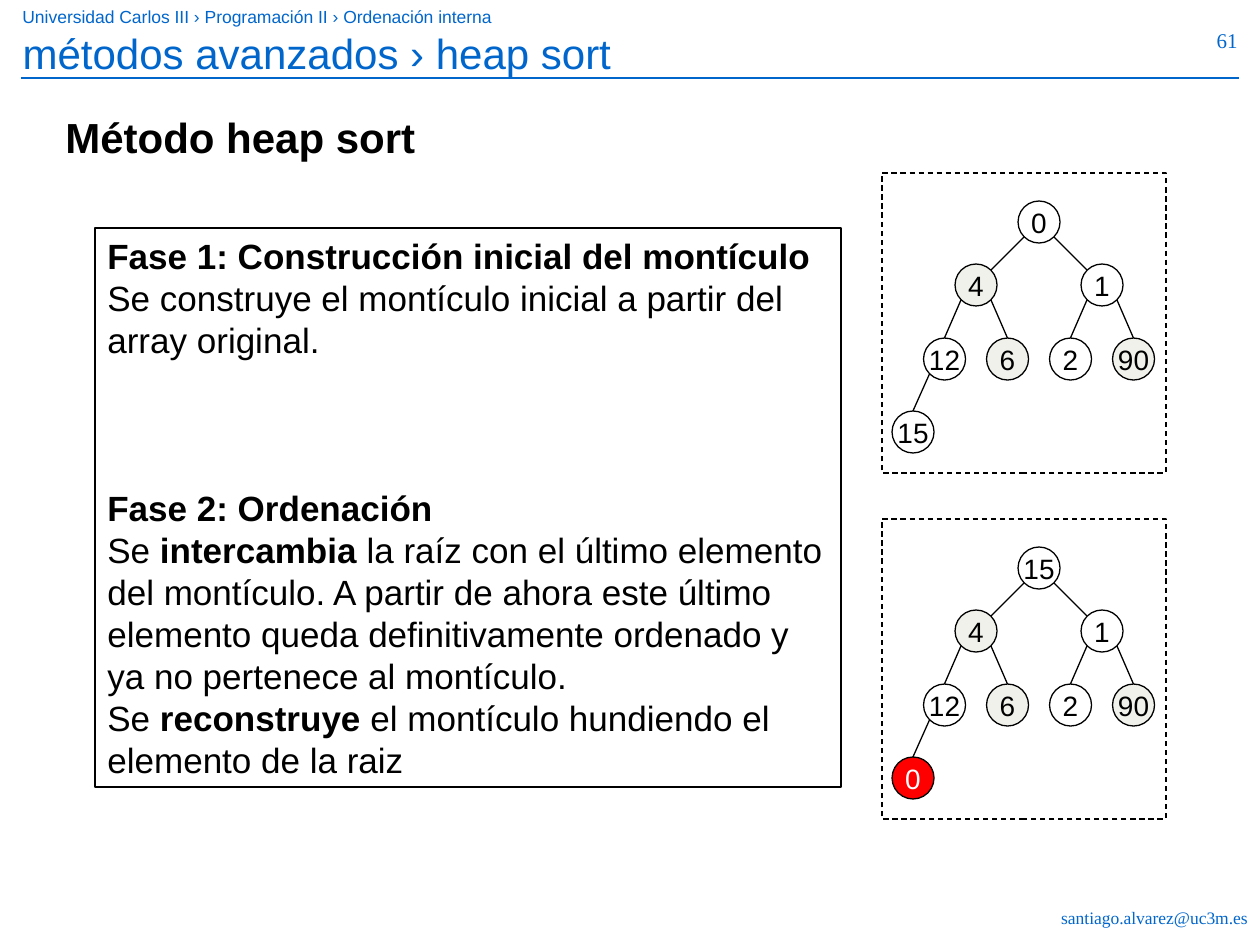
from lxml import etree
from pptx import Presentation
from pptx.dml.color import RGBColor
from pptx.enum.dml import MSO_LINE
from pptx.enum.shapes import MSO_CONNECTOR, MSO_SHAPE
from pptx.enum.text import MSO_ANCHOR, PP_ALIGN
from pptx.oxml.ns import qn
from pptx.util import Emu, Pt

RECTANGLE, CIRCLE = MSO_SHAPE.RECTANGLE, MSO_SHAPE.OVAL
STRAIGHT, DASH = MSO_CONNECTOR.STRAIGHT, MSO_LINE.DASH
TOP, MIDDLE = MSO_ANCHOR.TOP, MSO_ANCHOR.MIDDLE
LEFT, CENTER, RIGHT = PP_ALIGN.LEFT, PP_ALIGN.CENTER, PP_ALIGN.RIGHT

BLUE = RGBColor(0x00, 0x66, 0xCC)
BLACK = RGBColor(0x00, 0x00, 0x00)
WHITE = RGBColor(0xFF, 0xFF, 0xFF)
GREY = RGBColor(0xF1, 0xF1, 0xEB)
RED = RGBColor(0xFF, 0x00, 0x00)
SANS, SERIF = "Arial", "Times New Roman"

PX_PER_INCH = 126
LINE_PITCH = 1.2
PHASE_SIZE = 20

# Tree geometry, relative to its dashed frame; columns follow in-order position
NODE = 42
COLUMN = 31.5
TREE_LEFT = 10
LEVEL_TOPS = [28, 91, 165, 238]
HEAP_COLUMNS = [4, 2, 6, 1, 3, 5, 7, 0]
SHADED = {1, 4, 6}
DIAGONAL = 15

PHASES = [
    (0, [("Fase 1: Construcción inicial del montículo", True)]),
    (0, [("Se construye el montículo inicial a partir del array original.", False)]),
    (3, [("Fase 2: Ordenación", True)]),
    (0, [("Se ", False), ("intercambia", True),
         (" la raíz con el último elemento del montículo. A partir de ahora "
          "este último elemento queda definitivamente ordenado y ya no "
          "pertenece al montículo.", False)]),
    (0, [("Se ", False), ("reconstruye", True),
         (" el montículo hundiendo el elemento de la raiz", False)]),
]


def px(*lengths):
    return [Emu(round(length * 914400 / PX_PER_INCH)) for length in lengths]


def write(paragraph, runs, size, color=BLACK, font=SANS, align=LEFT):
    paragraph.alignment = align
    paragraph.line_spacing = Pt(size * LINE_PITCH)
    for text, bold in runs:
        run = paragraph.add_run()
        run.text = text
        run.font.name = font
        run.font.size = Pt(size)
        run.font.bold = bold
        run.font.color.rgb = color


def add_label(slide, box, text, size, color=BLUE, font=SANS, align=LEFT,
              bold=False, wrap=True):
    frame = slide.shapes.add_textbox(*px(*box)).text_frame
    frame.word_wrap = wrap
    write(frame.paragraphs[0], [(text, bold)], size, color, font, align)


def add_outlined(slide, kind, box, fill=None):
    shape = slide.shapes.add_shape(kind, *px(*box))
    shape.shadow.inherit = False
    if fill is None:
        shape.fill.background()
    else:
        shape.fill.solid()
        shape.fill.fore_color.rgb = fill
    shape.line.color.rgb = BLACK
    shape.line.width = Pt(0.75)
    return shape


def add_line(slide, start, end, color=BLACK):
    line = slide.shapes.add_connector(STRAIGHT, *px(*start, *end))
    line.line.color.rgb = color
    line.line.width = Pt(0.75)
    etree.SubElement(line._element.spPr, qn("a:effectLst"))


def add_header(slide, left, top, width):
    add_line(slide, (left + 11, top + 78), (left + width, top + 78), BLUE)
    add_label(slide, (left, top, 735, 34),
              "Universidad Carlos III › Programación II › Ordenación interna", 10)
    title = slide.shapes.title
    title.left, title.top, title.width, title.height = px(left, top + 21, 1092, 78)
    title.text_frame.vertical_anchor = TOP
    write(title.text_frame.paragraphs[0],
          [("métodos avanzados › heap sort", False)], 24, BLUE)
    add_label(slide, (left + width - 73, top + 21, 84, 66), "61", 12,
              font=SERIF, align=RIGHT)


def add_phases(slide, box):
    frame = add_outlined(slide, RECTANGLE, box).text_frame
    frame.word_wrap = True
    frame.vertical_anchor = TOP
    for index, (lines_before, runs) in enumerate(PHASES):
        paragraph = frame.add_paragraph() if index else frame.paragraphs[0]
        if lines_before:
            paragraph.space_before = Pt(lines_before * PHASE_SIZE * LINE_PITCH)
        write(paragraph, runs, PHASE_SIZE)


def add_heap(slide, box, values, sorted_nodes=()):
    """Draw a heap given in array order inside a dashed frame."""
    left, top = box[:2]
    add_outlined(slide, RECTANGLE, box).line.dash_style = DASH
    centers = []
    for index, value in enumerate(values):
        level = (index + 1).bit_length() - 1
        x = left + TREE_LEFT + COLUMN * HEAP_COLUMNS[index]
        y = top + LEVEL_TOPS[level]
        centers.append((x + NODE / 2, y + NODE / 2))
        is_sorted = index in sorted_nodes
        fill = RED if is_sorted else GREY if index in SHADED else None
        frame = add_outlined(slide, CIRCLE, (x, y, NODE, NODE), fill).text_frame
        frame.word_wrap = False
        frame.vertical_anchor = MIDDLE
        write(frame.paragraphs[0], [(str(value), False)], 16,
              WHITE if is_sorted else BLACK, align=CENTER)
    for child in range(1, len(values)):
        parent_x, parent_y = centers[(child - 1) // 2]
        child_x, child_y = centers[child]
        side = DIAGONAL if child_x > parent_x else -DIAGONAL
        if child <= 2:
            end = (child_x - side, child_y - DIAGONAL)
        else:
            end = (child_x, child_y - NODE / 2)
        add_line(slide, (parent_x + side, parent_y + DIAGONAL), end)


def main():
    presentation = Presentation()
    presentation.slide_width, presentation.slide_height = px(1260, 945)
    slide = presentation.slides.add_slide(presentation.slide_layouts[5])
    add_header(slide, 10, 0, 1229)
    add_label(slide, (53, 105, 375, 63), "Método heap sort", 24, BLACK,
              bold=True, wrap=False)
    add_phases(slide, (95, 228, 746, 559))
    add_heap(slide, (882, 173, 284, 300), [0, 4, 1, 12, 6, 2, 90, 15])
    add_heap(slide, (882, 519, 284, 300), [15, 4, 1, 12, 6, 2, 90, 0],
             sorted_nodes={7})
    add_label(slide, (861, 901, 399, 34), "santiago.alvarez@uc3m.es", 10,
              font=SERIF, align=RIGHT)
    presentation.save("out.pptx")


if __name__ == "__main__":
    main()
